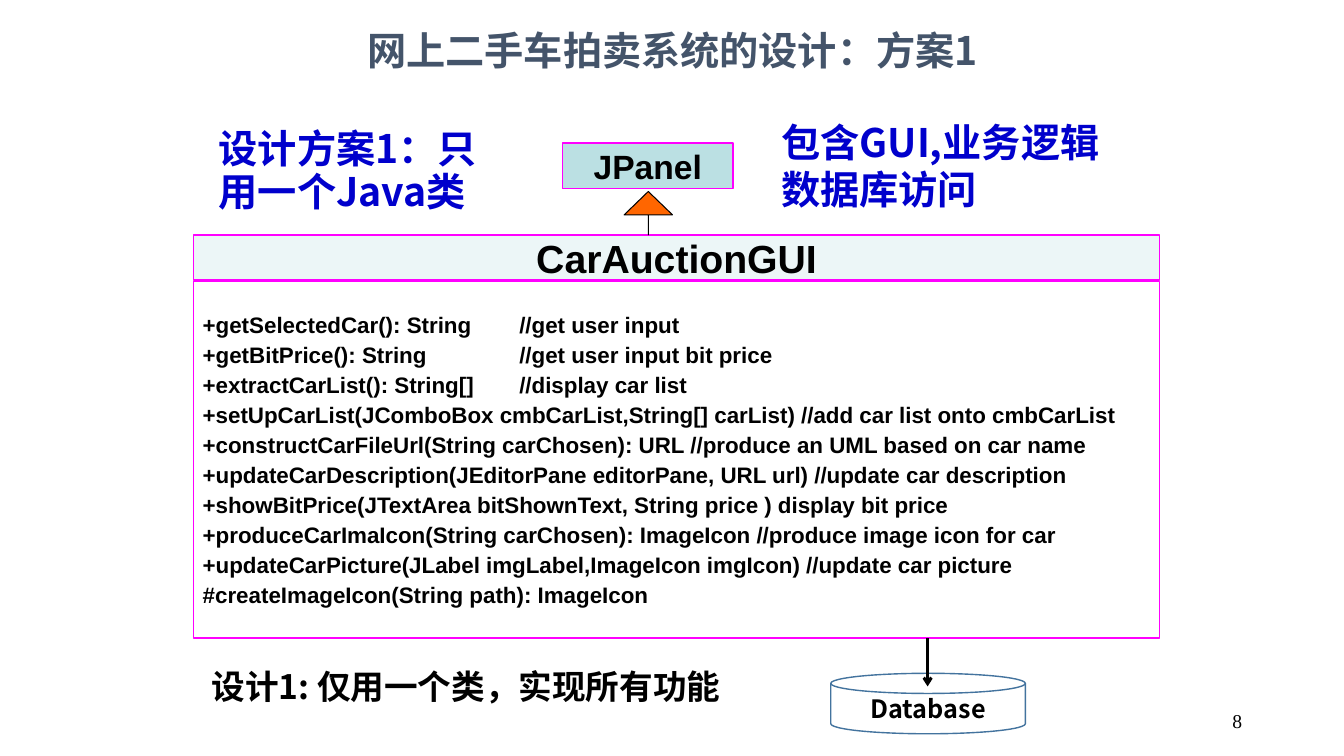
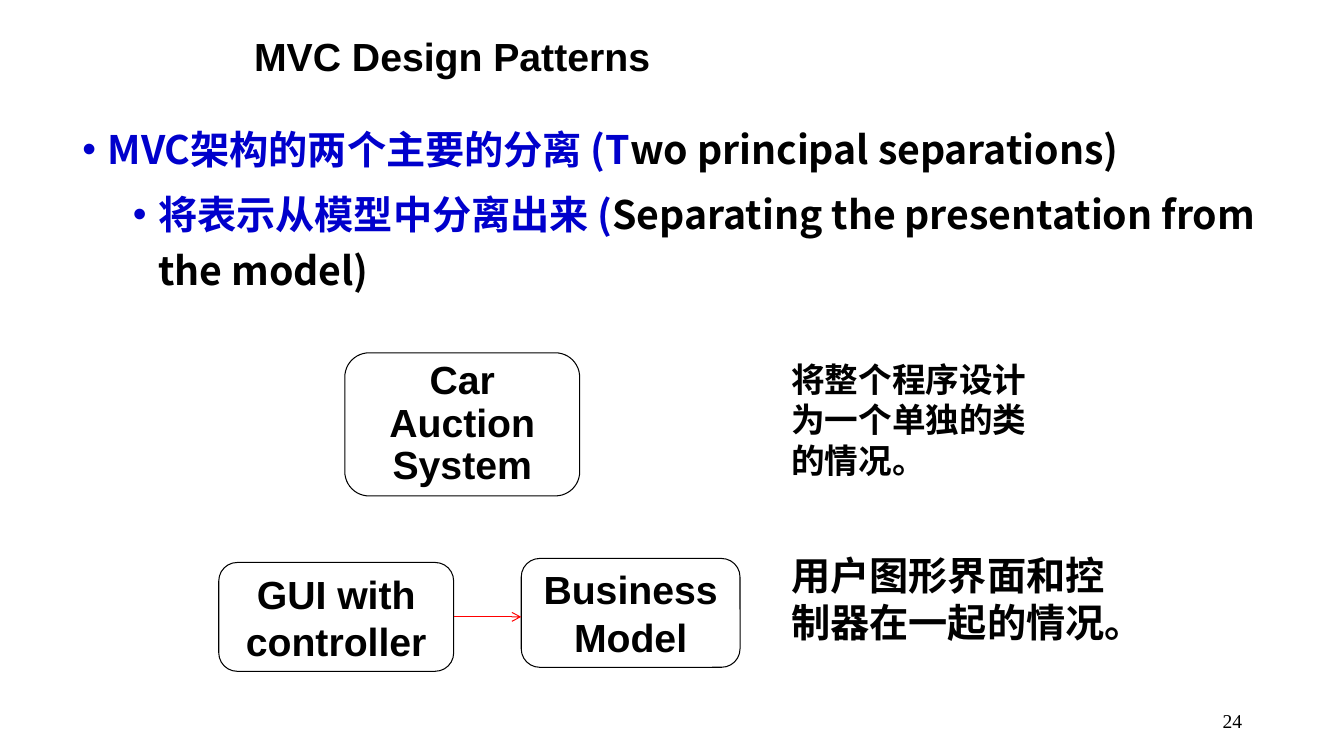
from lxml import etree
from pptx import Presentation
from pptx.dml.color import RGBColor
from pptx.enum.shapes import MSO_CONNECTOR, MSO_SHAPE
from pptx.enum.text import MSO_ANCHOR, MSO_AUTO_SIZE, PP_ALIGN
from pptx.oxml.ns import qn
from pptx.util import Inches, Pt

BLACK = RGBColor(0x00, 0x00, 0x00)
WHITE = RGBColor(0xFF, 0xFF, 0xFF)
BLUE = RGBColor(0x00, 0x00, 0xCC)
SLATE = RGBColor(0x44, 0x54, 0x6A)
STEEL = RGBColor(0x43, 0x73, 0x9E)
TEAL = RGBColor(0xBB, 0xE0, 0xE3)
PINK = RGBColor(0xFF, 0x00, 0xFF)
ORANGE = RGBColor(0xFF, 0x66, 0x00)
RED = RGBColor(0xFF, 0x00, 0x00)

LEFT, CENTER, RIGHT = PP_ALIGN.LEFT, PP_ALIGN.CENTER, PP_ALIGN.RIGHT
TOP, MIDDLE = MSO_ANCHOR.TOP, MSO_ANCHOR.MIDDLE
RECT, ROUND = MSO_SHAPE.RECTANGLE, MSO_SHAPE.ROUNDED_RECTANGLE
ARROW, DISK = MSO_SHAPE.UP_ARROW, MSO_SHAPE.FLOWCHART_MAGNETIC_DISK
STRAIGHT = MSO_CONNECTOR.STRAIGHT
FIXED = MSO_AUTO_SIZE.NONE

SANS = "Arial"
HAN = "Noto Sans CJK SC"
SERIF = "Times New Roman"

METHODS = [
    "+getSelectedCar(): String\t//get user input",
    "+getBitPrice(): String\t//get user input bit price",
    "+extractCarList(): String[]\t//display car list",
    "+setUpCarList(JComboBox cmbCarList,String[] carList) //add car list onto cmbCarList",
    "+constructCarFileUrl(String carChosen): URL //produce an UML based on car name",
    "+updateCarDescription(JEditorPane editorPane, URL url) //update car description",
    "+showBitPrice(JTextArea bitShownText, String price ) display bit price",
    "+produceCarImaIcon(String carChosen): ImageIcon //produce image icon for car",
    "+updateCarPicture(JLabel imgLabel,ImageIcon imgIcon) //update car picture",
    "#createImageIcon(String path): ImageIcon",
]
POINTS = [
    [("MVC架构的两个主要的分离 (T", BLUE), ("wo principal separations)", BLACK)],
    [("将表示从模型中分离出来 (", BLUE),
     ("Separating the presentation from the model)", BLACK)],
]
INDENTS = [0.25, 0.75]
NODES = [
    ((3.42, 3.5, 2.33, 1.42), ["Car Auction", "System"], 0.9),
    ((2.17, 5.58, 2.33, 1.08), ["GUI with controller"], None),
    ((5.17, 5.54, 2.17, 1.08), ["Business Model"], None),
]
NOTES = [
    ((7.75, 3.51, 2.78, 1.31), "将整个程序设计为一个单独的类的情况。", 24),
    ((7.75, 5.42, 3.67, 1.04), "用户图形界面和控制器在一起的情况。", 28),
]


def place(item, box):
    item.left, item.top, item.width, item.height = map(Inches, box)


def style(para, size, font, color, bold):
    face = para.font
    face.size, face.name, face.bold = Pt(size), font, bold
    if color is not None:
        face.color.rgb = color
    if font == HAN:
        props = para._p.get_or_add_pPr().find(qn("a:defRPr"))
        etree.SubElement(props, qn("a:ea"), typeface=font)


def write(item, lines, size, font=HAN, color=BLACK, bold=True, align=LEFT,
          anchor=MIDDLE, space=None, gap=0, inset=(0.1, 0.05), tab=None,
          indents=None):
    frame = item.text_frame
    frame.word_wrap, frame.auto_size = True, FIXED
    frame.vertical_anchor = anchor
    frame.margin_left = frame.margin_right = Inches(inset[0])
    frame.margin_top = frame.margin_bottom = Inches(inset[1])
    for i, line in enumerate(lines):
        para = frame.add_paragraph() if i else frame.paragraphs[0]
        para.alignment = align
        if space:
            para.line_spacing = space
        if i and gap:
            para.space_before = Pt(gap)
        props = para._p.get_or_add_pPr()
        if indents:
            para.level = i
            props.set("marL", str(Inches(indents[i])))
            props.set("indent", str(Inches(-0.25)))
            etree.SubElement(props, qn("a:buFont"), typeface=SANS)
            etree.SubElement(props, qn("a:buChar"), char="•")
        if tab:
            stops = etree.SubElement(props, qn("a:tabLst"))
            etree.SubElement(stops, qn("a:tab"), pos=str(Inches(tab)), algn="l")
        if isinstance(line, str):
            para.text = line
            style(para, size, font, color, bold)
        else:
            for text, tint in line:
                run = para.add_run()
                run.text = text
                run.font.color.rgb = tint
            style(para, size, font, None, bold)


def label(slide, box, lines, size, **kind):
    item = slide.shapes.add_textbox(*map(Inches, box))
    write(item, lines, size, **kind)


def shape(slide, form, box, fill, line, width, adjust=()):
    item = slide.shapes.add_shape(form, *map(Inches, box))
    item.shadow.inherit = False
    if fill is None:
        item.fill.background()
    else:
        item.fill.solid()
        item.fill.fore_color.rgb = fill
    item.line.color.rgb = line
    item.line.width = Pt(width)
    for i, value in enumerate(adjust):
        item.adjustments[i] = value
    return item


def fade(item, share):
    tint = item._element.spPr.find(qn("a:solidFill"))[0]
    etree.SubElement(tint, qn("a:alpha"), val=str(share * 1000))


def link(slide, ends, color, width):
    item = slide.shapes.add_connector(STRAIGHT, *map(Inches, ends))
    item.line.color.rgb = color
    item.line.width = Pt(width)
    etree.SubElement(item.line._get_or_add_ln(), qn("a:tailEnd"), type="arrow")
    etree.SubElement(item._element.spPr, qn("a:effectLst"))


def start(deck, title, box, number, **kind):
    slide = deck.slides.add_slide(deck.slide_layouts[5])
    head = slide.shapes.title
    place(head, box)
    write(head, [title], 28, **kind)
    label(slide, (9.42, 6.95, 3, 0.4), [number], 14, font=SERIF,
          bold=False, align=RIGHT)
    return slide


def draw_plan(deck):
    slide = start(deck, "网上二手车拍卖系统的设计：方案1", (2.42, 0.08, 8.5, 0.83),
                  "8", color=SLATE, align=CENTER)
    tight = (0.09, 0.04)
    name = shape(slide, RECT, (1.92, 2.33, 9.58, 0.45), TEAL, PINK, 1)
    fade(name, 27)
    write(name, ["CarAuctionGUI"], 28, font=SANS, align=CENTER, inset=tight)
    body = shape(slide, RECT, (1.92, 2.79, 9.58, 3.54), None, PINK, 1)
    write(body, METHODS, 16, font=SANS, gap=2.3, inset=tight, tab=3.14)
    base = shape(slide, RECT, (5.58, 1.42, 1.69, 0.45), TEAL, PINK, 1)
    write(base, ["JPanel"], 24, font=SANS, align=CENTER, inset=tight)
    shape(slide, ARROW, (6.19, 1.9, 0.48, 0.43), ORANGE, BLACK, 0.75, (0, 0.54))
    label(slide, (2, 6.67, 5.67, 0.42), ["设计1: 仅用一个类，实现所有功能"], 24,
          anchor=TOP, space=0.7)
    label(slide, (2.17, 1, 3.17, 1.42), ["设计方案1：只\v用一个Java类"], 28,
          color=BLUE, space=0.9, inset=(0, 0))
    label(slide, (7.75, 0.93, 3.42, 1.42), ["包含GUI,业务逻辑", "数据库访问"], 28,
          color=BLUE, inset=(0, 0))
    store = shape(slide, DISK, (8.24, 6.68, 1.93, 0.6), WHITE, STEEL, 1)
    write(store, ["Database"], 18, align=CENTER)
    link(slide, (9.2, 6.33, 9.2, 6.81), BLACK, 2)


def draw_split(deck):
    slide = start(deck, "MVC Design Patterns", (2.42, 0.25, 8.5, 0.67),
                  "24", font=SANS, space=0.9)
    label(slide, (0.72, 1.1, 11.9, 2.02), POINTS, 28, anchor=TOP,
          space=1.2, gap=6, indents=INDENTS)
    for box, lines, space in NODES:
        node = shape(slide, ROUND, box, WHITE, BLACK, 0.75, (0.17,))
        write(node, lines, 28, font=SANS, align=CENTER, space=space,
              inset=(0.07, 0.03))
    link(slide, (4.5, 6.12, 5.17, 6.12), RED, 0.75)
    for box, text, size in NOTES:
        label(slide, box, [text], size, anchor=TOP)


def main():
    deck = Presentation()
    deck.slide_width, deck.slide_height = Inches(13.33), Inches(7.5)
    draw_plan(deck)
    draw_split(deck)
    deck.save("out.pptx")


if __name__ == "__main__":
    main()
